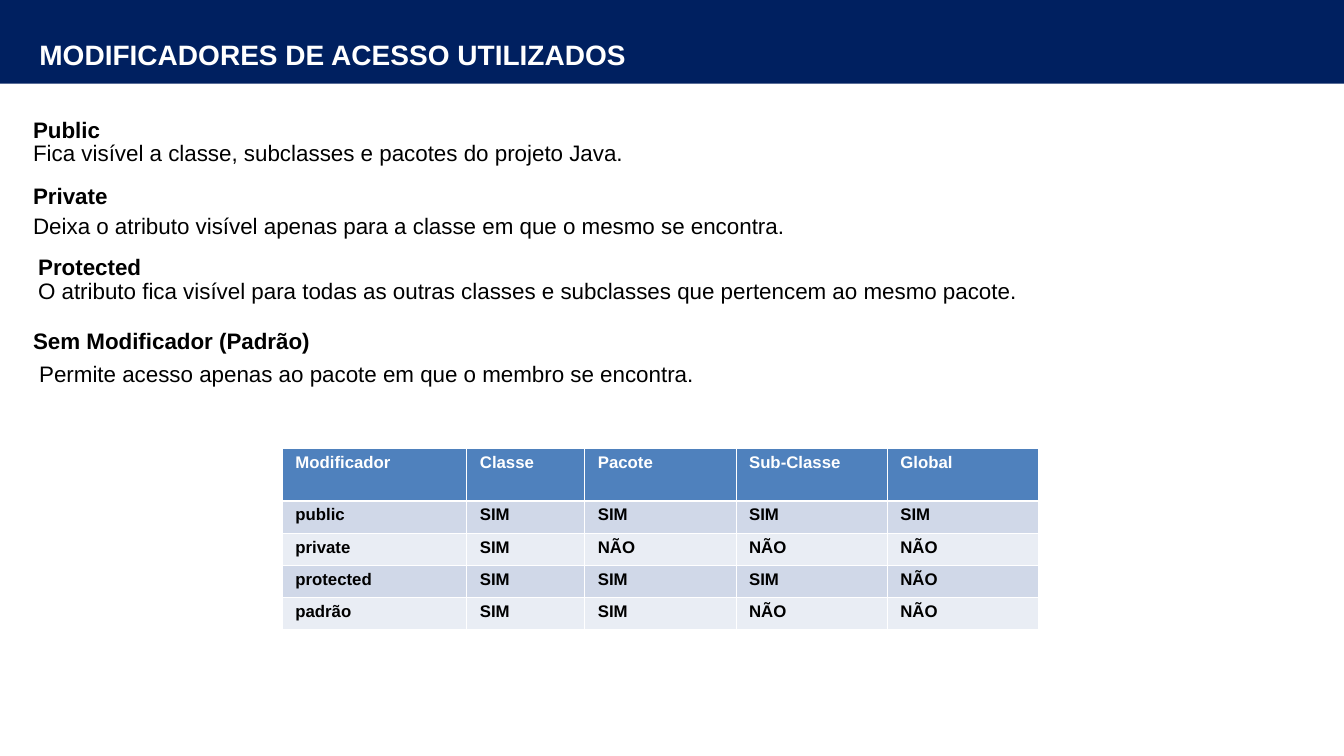
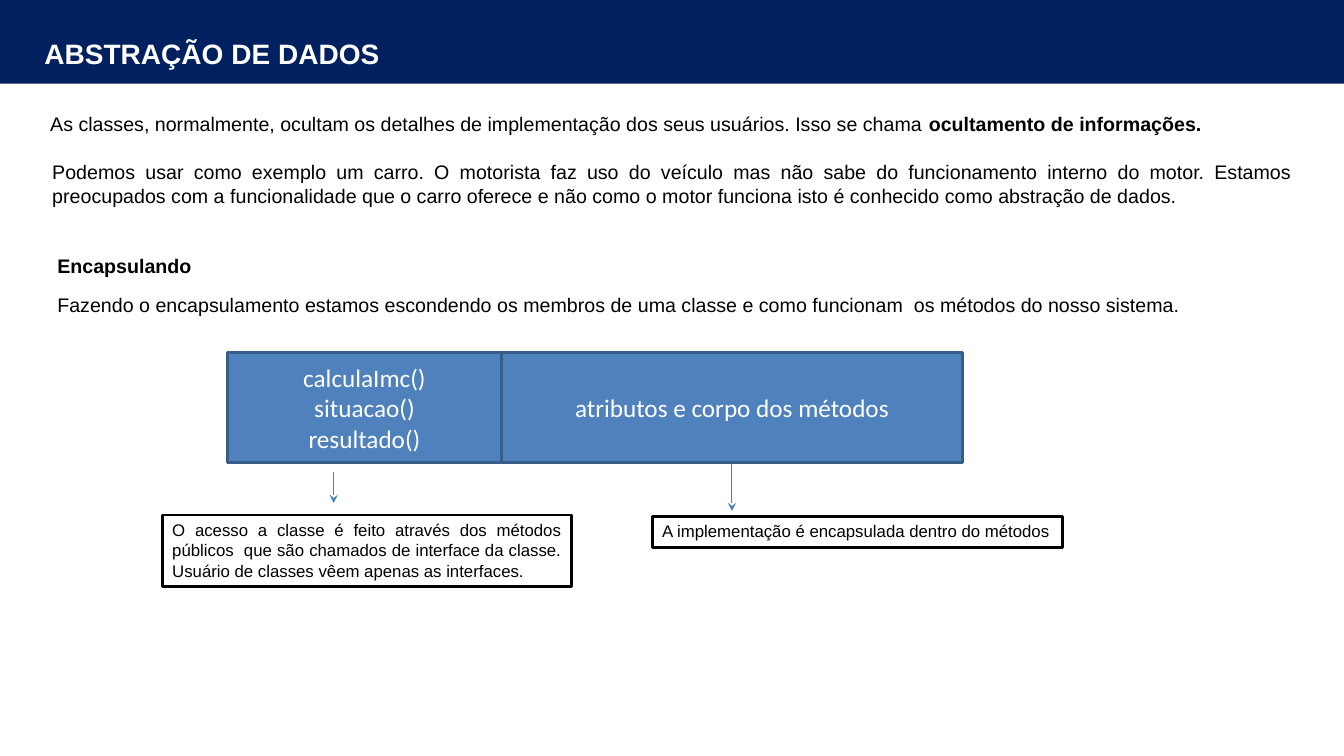
"""Two slides on Java access modifiers and data abstraction."""
from lxml.etree import SubElement
from pptx import Presentation
from pptx.dml.color import RGBColor
from pptx.enum.shapes import MSO_CONNECTOR, MSO_SHAPE
from pptx.enum.text import MSO_ANCHOR, MSO_AUTO_SIZE, PP_ALIGN
from pptx.oxml.ns import qn
from pptx.util import Pt

PX = 9144
COLORS = {
    "band": "002060", "white": "FFFFFF", "black": "000000",
    "blue": "4F81BD", "blue_edge": "385D8A", "arrow": "4A7EBB",
    "row_dark": "D0D8E8", "row_light": "E9EDF4",
}
PALETTE = {name: RGBColor.from_string(value) for name, value in COLORS.items()}


def write(frame, text, size, color="black", bold=False, align=PP_ALIGN.LEFT, font="Arial"):
    frame.word_wrap = True
    frame.text = text
    for paragraph in frame.paragraphs:
        paragraph.alignment = align
        paragraph.font.name = font
        paragraph.font.size = Pt(size)
        paragraph.font.bold = bold
        paragraph.font.color.rgb = PALETTE[color]


def add_panel(slide, box, fill, edge=None):
    panel = slide.shapes.add_shape(MSO_SHAPE.RECTANGLE, *[PX * n for n in box])
    panel.shadow.inherit = False
    panel.fill.solid()
    panel.fill.fore_color.rgb = PALETTE[fill]
    if edge:
        panel.line.color.rgb = PALETTE[edge]
        panel.line.width = Pt(2)
    else:
        panel.line.fill.background()
    return panel


deck = Presentation()
deck.slide_width, deck.slide_height = 1333 * PX, 750 * PX
layout = deck.slide_layouts[5]

titles = [
    ("MODIFICADORES DE ACESSO UTILIZADOS", (29, 23, 802, 62)),
    ("ABSTRAÇÃO DE DADOS", (34, 31, 356, 44)),
]
for heading, box in titles:
    slide = deck.slides.add_slide(layout)
    title = slide.shapes.title
    title.left, title.top, title.width, title.height = [PX * n for n in box]
    write(title.text_frame, heading, 20, "white", bold=True)
    title.text_frame.auto_size = MSO_AUTO_SIZE.NONE
    title.text_frame.vertical_anchor = MSO_ANCHOR.MIDDLE
modifiers, abstraction = deck.slides

band = add_panel(modifiers, (0, 0, 1335, 83), "band")
layout.shapes._spTree.insert(2, band._element)

access_rows = [
    ("Modificador", "Classe", "Pacote", "Sub-Classe", "Global"),
    ("public", "SIM", "SIM", "SIM", "SIM"),
    ("private", "SIM", "NÃO", "NÃO", "NÃO"),
    ("protected", "SIM", "SIM", "SIM", "NÃO"),
    ("padrão", "SIM", "SIM", "NÃO", "NÃO"),
]
column_widths = [183, 117, 150, 150, 150]
row_heights = [52, 32, 32, 32, 32]
access_table = modifiers.shapes.add_table(
    len(row_heights), len(column_widths), 280 * PX, 445 * PX,
    sum(column_widths) * PX, sum(row_heights) * PX).table
for column, width in zip(access_table.columns, column_widths):
    column.width = width * PX
for row_index, (row, height) in enumerate(zip(access_table.rows, row_heights)):
    row.height = height * PX
    is_header = row_index == 0
    row_fill = "blue" if is_header else "row_dark" if row_index % 2 else "row_light"
    thick_side = {0: "lnB", 1: "lnT"}.get(row_index)
    for cell, value in zip(row.cells, access_rows[row_index]):
        write(cell.text_frame, value, 12, "white" if is_header else "black", bold=True)
        cell.text_frame.paragraphs[0].line_spacing = 0.93
        cell.margin_left = cell.margin_right = 13 * PX
        cell.margin_top, cell.margin_bottom = 6 * PX, 5 * PX
        properties = cell._tc.get_or_add_tcPr()
        for side in ("lnL", "lnR", "lnT", "lnB"):
            weight = Pt(1.47 if side == thick_side else 0.75)
            border = SubElement(properties, qn(f"a:{side}"), w=str(weight))
            border_fill = SubElement(border, qn("a:solidFill"))
            SubElement(border_fill, qn("a:srgbClr"), val=COLORS["white"])
        cell.fill.solid()
        cell.fill.fore_color.rgb = PALETTE[row_fill]

LEFT, JUSTIFY = PP_ALIGN.LEFT, PP_ALIGN.JUSTIFY
passages = [
    (modifiers, 16, [
        ("Public", (23, 110, 90, 37), True, LEFT),
        ("Fica visível a classe, subclasses e pacotes do projeto Java.",
         (23, 133, 612, 37), False, LEFT),
        ("Private", (23, 176, 104, 37), True, LEFT),
        ("Deixa o atributo visível apenas para a classe em que o mesmo se encontra.",
         (23, 206, 775, 37), False, LEFT),
        ("Protected", (28, 246, 125, 37), True, LEFT),
        ("O atributo fica visível para todas as outras classes e subclasses que "
         "pertencem ao mesmo pacote.", (28, 270, 1010, 37), False, LEFT),
        ("Sem Modificador (Padrão)", (23, 320, 300, 37), True, LEFT),
        ("Permite acesso apenas ao pacote em que o membro se encontra.",
         (29, 352, 678, 37), False, LEFT),
    ]),
    (abstraction, 14, [
        ("Podemos usar como exemplo um carro. O motorista faz uso do veículo mas não "
         "sabe do funcionamento interno do motor. Estamos preocupados com a "
         "funcionalidade que o carro oferece e não como o motor funciona isto é "
         "conhecido como abstração de dados.", (42, 154, 1250, 57), False, JUSTIFY),
        ("Encapsulando", (47, 247, 156, 34), True, LEFT),
        ("Fazendo o encapsulamento estamos escondendo os membros de uma classe e como "
         "funcionam  os métodos do nosso sistema.", (47, 286, 1239, 34), False, JUSTIFY),
        ("As classes, normalmente, ocultam os detalhes de implementação dos seus "
         "usuários. Isso se chama ", (40, 106, 1167, 34), False, LEFT),
    ]),
]
for slide, size, texts in passages:
    for text, box, bold, align in texts:
        passage = slide.shapes.add_textbox(*[PX * n for n in box])
        write(passage.text_frame, text, size, bold=bold, align=align)
hiding_term = passage.text_frame.paragraphs[0].add_run()
hiding_term.text = "ocultamento de informações."
hiding_term.font.bold = True

class_parts = [
    ("calculaImc()\nsituacao()\nresultado()", (226, 350, 271, 109)),
    ("atributos e corpo dos métodos", (497, 350, 458, 109)),
]
for text, box in class_parts:
    part = add_panel(abstraction, box, "blue", "blue_edge")
    write(part.text_frame, text, 18, "white", align=PP_ALIGN.CENTER, font="Calibri")

explanations = [
    ("O acesso a classe é feito através dos métodos públicos  que são chamados de "
     "interface da classe. Usuário de classes vêem apenas as interfaces.",
     (161, 511, 406, 71), JUSTIFY, (331, 468, 331, 499)),
    ("A implementação é encapsulada dentro do métodos",
     (647, 512, 407, 31), LEFT, (726, 460, 726, 507)),
]
for text, box, align, ends in explanations:
    explanation = add_panel(abstraction, box, "white", "black")
    write(explanation.text_frame, text, 12, align=align)
    explanation.text_frame.vertical_anchor = MSO_ANCHOR.TOP
    arrow = abstraction.shapes.add_connector(MSO_CONNECTOR.STRAIGHT, *[PX * n for n in ends])
    arrow.line.color.rgb = PALETTE["arrow"]
    arrow.line.width = Pt(0.75)
    SubElement(arrow.line._get_or_add_ln(), qn("a:tailEnd"), type="stealth")
    SubElement(arrow._element.spPr, qn("a:effectLst"))

deck.save("out.pptx")
